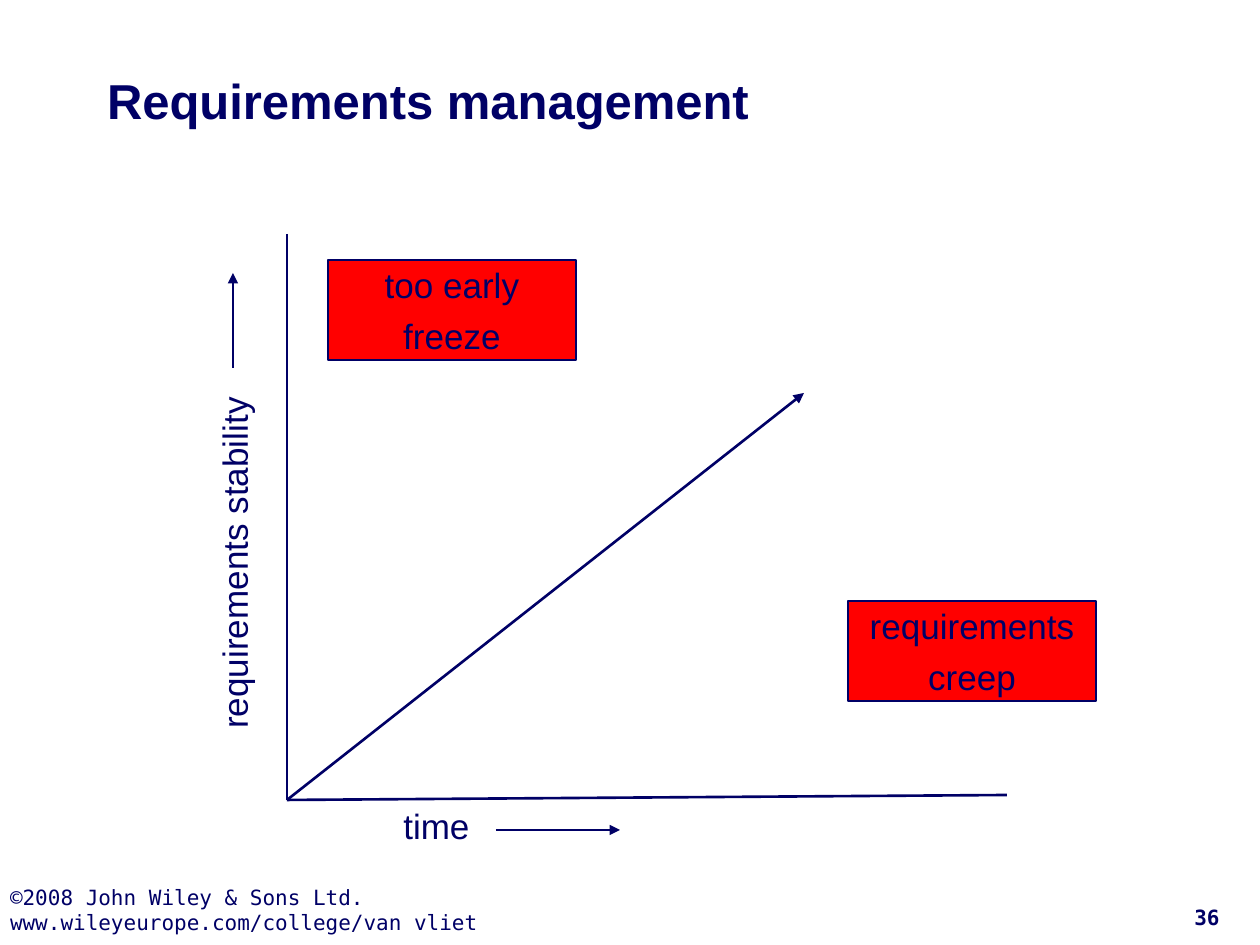
from lxml import etree
from pptx import Presentation
from pptx import util as u
from pptx.dml.color import RGBColor
from pptx.enum import shapes, text
from pptx.oxml.ns import qn

NAVY = RGBColor(0x00, 0x00, 0x66)
RED = RGBColor(0xFF, 0x00, 0x00)
SANS, MONO = "Arial", "DejaVu Sans Mono"
LEFT, MID = text.PP_ALIGN.LEFT, text.PP_ALIGN.CENTER
SCALE = 914400 / 126


def px(n):
    return u.Emu(round(n * SCALE))


def write(frame, lines, size, face, align=MID, bold=False, gap=0,
          inset=10, anchor=text.MSO_ANCHOR.TOP, wrap=False):
    frame.word_wrap = wrap
    frame.vertical_anchor = anchor
    frame.margin_left = frame.margin_right = px(inset)
    frame.margin_top = frame.margin_bottom = px(inset)
    for i, line in enumerate(lines):
        para = frame.paragraphs[0] if i == 0 else frame.add_paragraph()
        para.text = line
        para.alignment = align
        if i:
            para.space_before = u.Pt(gap)
        font = para.font
        font.name, font.size, font.bold = face, u.Pt(size), bold
        font.color.rgb = NAVY


def line(slide, start, end, arrow=False):
    link = slide.shapes.add_connector(
        shapes.MSO_CONNECTOR.STRAIGHT, *map(px, start + end))
    link.line.color.rgb = NAVY
    link.line.width = u.Pt(1.5)
    if arrow:
        etree.SubElement(link.line._get_or_add_ln(), qn("a:tailEnd"),
                         type="triangle")
    etree.SubElement(link._element.spPr, qn("a:effectLst"))


def label(slide, box, words, turn=0):
    area = slide.shapes.add_textbox(*map(px, box))
    area.rotation = turn
    write(area.text_frame, [words], 20, SANS)


def block(slide, box, lines):
    rect = slide.shapes.add_shape(shapes.MSO_SHAPE.RECTANGLE, *map(px, box))
    rect.shadow.inherit = False
    rect.fill.solid()
    rect.fill.fore_color.rgb = RED
    rect.line.color.rgb = NAVY
    rect.line.width = u.Pt(1.5)
    write(rect.text_frame, lines, 20, SANS, gap=5,
          anchor=text.MSO_ANCHOR.MIDDLE)


def title(slide, box):
    head = slide.shapes.title
    head.left, head.top, head.width, head.height = map(px, box)
    write(head.text_frame, ["Requirements management"], 28, SANS, LEFT,
          bold=True, inset=13, anchor=text.MSO_ANCHOR.MIDDLE, wrap=True)


def graph(slide, box):
    x, y, wide, high = box
    base = (x, y + high)

    # Axes and the ideal path
    line(slide, (x, y), base)
    line(slide, base, (x + wide, y + high - 5))
    line(slide, base, (x + 517, y + 159), arrow=True)

    # Risk zones
    block(slide, (x + 561, y + 367, 248, 100), ["requirements", "creep"])
    block(slide, (x + 41, y + 26, 248, 100), ["too early", "freeze"])

    # Axis labels with their arrows
    label(slide, (x - 254, y + 298, 402, 62), "requirements stability", 270)
    line(slide, (x - 54, y + 134), (x - 54, y + 39), arrow=True)
    label(slide, (x + 81, y + high - 5, 137, 62), "time")
    line(slide, (x + 209, y + high + 30), (x + 333, y + high + 30), arrow=True)


def footer(slide, box):
    x, y, wide, high = box
    note = slide.shapes.add_textbox(px(x), px(y), px(774), px(high))
    write(note.text_frame,
          ["©2008 John Wiley & Sons Ltd.",
           "www.wileyeurope.com/college/van vliet"],
          12, MONO, LEFT, wrap=True)
    page = slide.shapes.add_textbox(
        px(x + wide - 103), px(y + 26), px(100), px(30))
    write(page.text_frame, ["36"], 12, MONO, bold=True, inset=0,
          anchor=text.MSO_ANCHOR.BOTTOM, wrap=True)


def main():
    deck = Presentation()
    deck.slide_width, deck.slide_height = px(1260), px(945)
    slide = deck.slides.add_slide(deck.slide_layouts[5])
    footer(slide, (0, 874, 1260, 71))
    title(slide, (94, 21, 1071, 158))
    graph(slide, (287, 234, 720, 566))
    deck.save("out.pptx")


if __name__ == "__main__":
    main()
